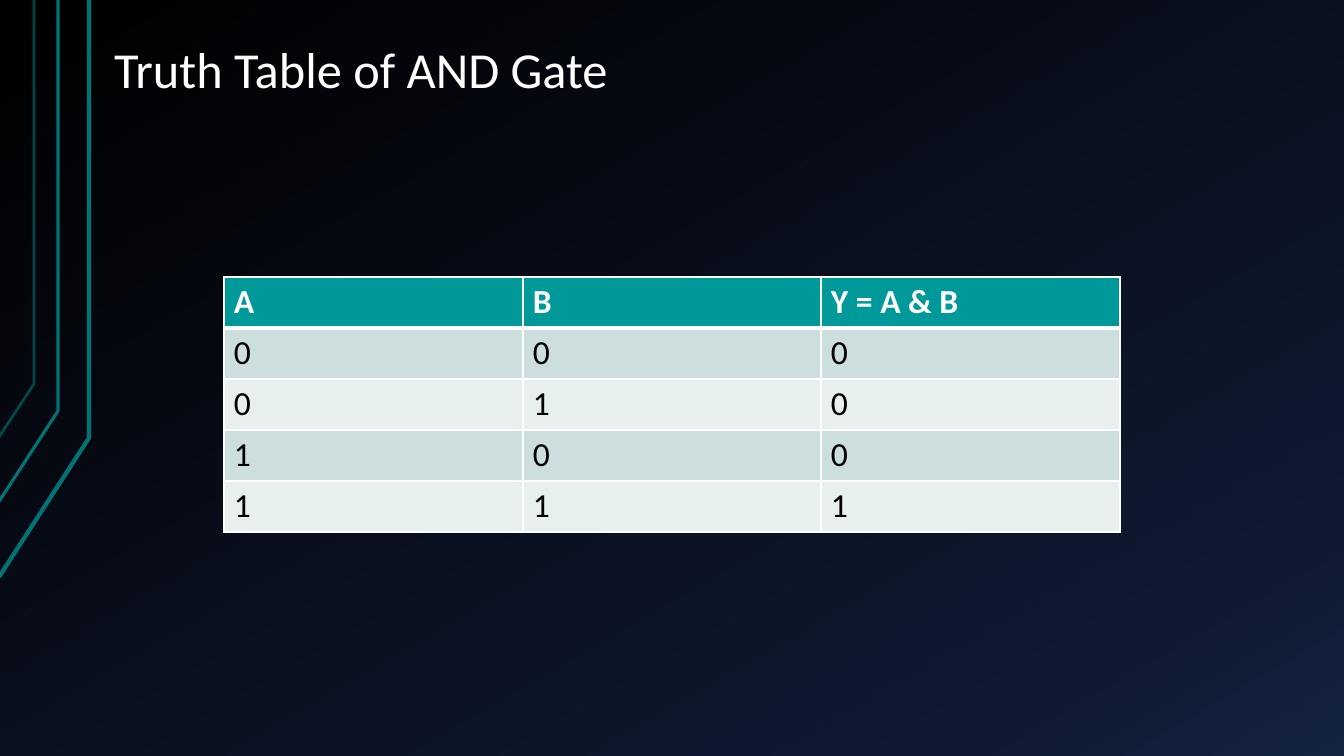
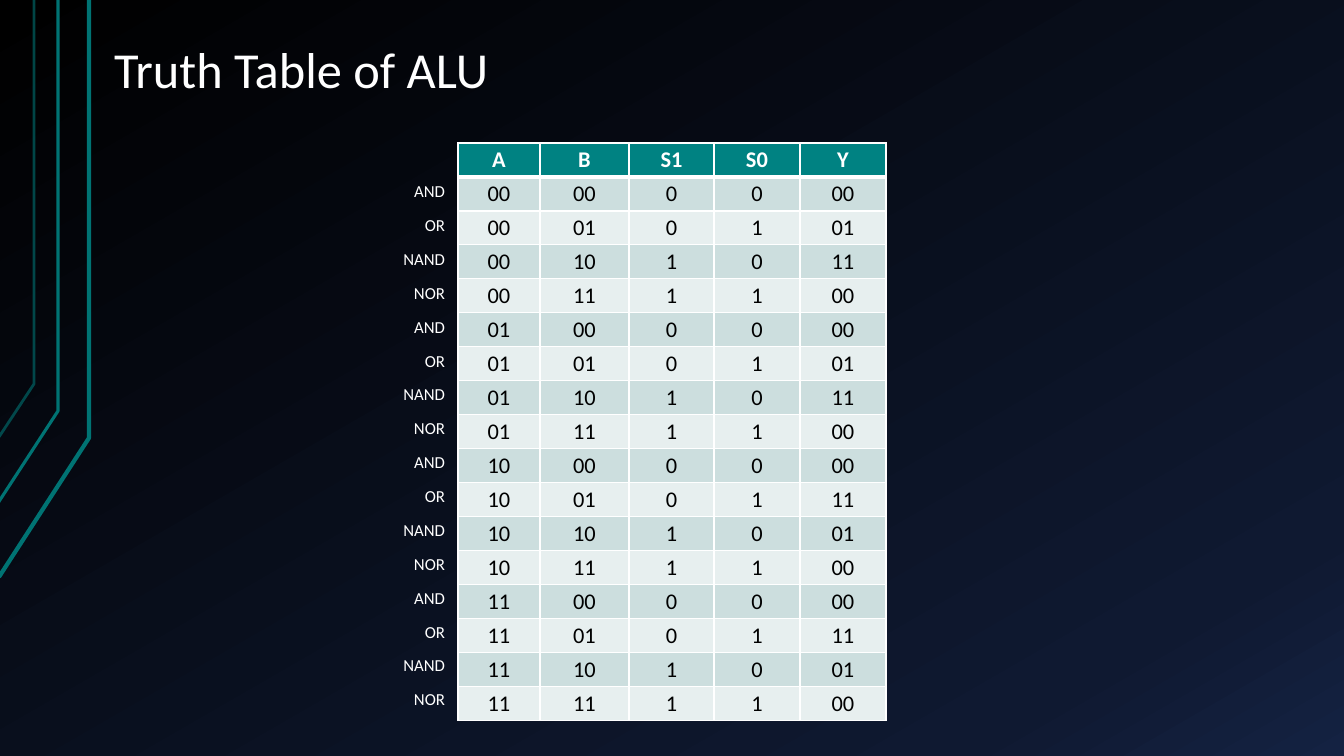
from itertools import cycle

from lxml.etree import SubElement
from pptx import Presentation
from pptx.dml.color import RGBColor
from pptx.enum.text import MSO_ANCHOR, MSO_AUTO_SIZE, PP_ALIGN
from pptx.oxml.ns import qn
from pptx.util import Pt

PX = 12192000 / 1344
SLIDE_SIZE = (1344, 756)
FONT = "Calibri"

WHITE = RGBColor(0xFF, 0xFF, 0xFF)
BLACK = RGBColor(0x00, 0x00, 0x00)
LINE_TEAL = RGBColor(0x00, 0x73, 0x73)
BRIGHT_TEAL = RGBColor(0x00, 0x99, 0x99)
DARK_TEAL = RGBColor(0x00, 0x82, 0x82)
BANDS = (RGBColor(0xCC, 0xDE, 0xDE), RGBColor(0xE7, 0xEF, 0xEF))
BACKGROUND_STOPS = (
    (0, BLACK),
    (85, RGBColor(0x0F, 0x19, 0x31)),
    (100, RGBColor(0x14, 0x22, 0x42)),
)

# points in px, width in pt, opacity in percent
CIRCUIT_LINES = (
    (((-1, 577), (89, 438), (89, 0)), 3, 100),
    (((-2, 503), (58, 411), (58, 0)), 2.25, 100),
    (((-1, 437), (34, 384), (34, 0)), 2, 60),
)
TITLE_BOX = (101, 33, 1142, 73)

AND_GATE = {
    "title": "Truth Table of AND Gate",
    "rows": [("A", "B", "Y = A & B"),
             ("0", "0", "0"), ("0", "1", "0"), ("1", "0", "0"), ("1", "1", "1")],
    "origin": (224, 277),
    "columns": (299, 298, 299),
    "row_height": 51,
    "size": 24,
    "header": BRIGHT_TEAL,
    "align": PP_ALIGN.LEFT,
    "anchor": MSO_ANCHOR.TOP,
    "insets": (10, 5),
}
ALU = {
    "title": "Truth Table of ALU",
    "rows": [row.split() for row in (
        "A B S1 S0 Y",
        "00 00 0 0 00", "00 01 0 1 01", "00 10 1 0 11", "00 11 1 1 00",
        "01 00 0 0 00", "01 01 0 1 01", "01 10 1 0 11", "01 11 1 1 00",
        "10 00 0 0 00", "10 01 0 1 11", "10 10 1 0 01", "10 11 1 1 00",
        "11 00 0 0 00", "11 01 0 1 11", "11 10 1 0 01", "11 11 1 1 00",
    )],
    "origin": (458, 143),
    "columns": (82, 89, 85, 86, 86),
    "row_height": 34,
    "size": 16,
    "header": DARK_TEAL,
    "align": PP_ALIGN.CENTER,
    "anchor": MSO_ANCHOR.MIDDLE,
    "insets": (7, 3),
}
OPERATION_WIDTHS = {"AND": 51, "OR": 41, "NAND": 62, "NOR": 51}
OPERATION_RIGHT, OPERATION_TOP, OPERATION_HEIGHT = 455, 176, 30
OPERATION_PITCH = 33.87


def px(*lengths):
    return [round(length * PX) for length in lengths]


def format_paragraph(paragraph, size, color, align, bold=False):
    paragraph.alignment = align
    font = paragraph.font
    font.name, font.size, font.bold = FONT, Pt(size), bold
    font.color.rgb = color


def set_insets(target, horizontal, vertical):
    target.margin_left = target.margin_right = px(horizontal)[0]
    target.margin_top = target.margin_bottom = px(vertical)[0]


def add_color(parent, color):
    return SubElement(parent, qn("a:srgbClr"), val=str(color))


def style_layout(layout, drawing_slide):
    """Give the layout its gradient and lines; the lines are drawn on a slide, then moved."""
    fill = layout.background.fill
    fill.gradient()
    fill.gradient_angle = 300
    stops = layout.element.find(".//" + qn("a:gsLst"))
    stops.clear()
    for position, color in BACKGROUND_STOPS:
        add_color(SubElement(stops, qn("a:gs"), pos=str(position * 1000)), color)

    for points, width, opacity in CIRCUIT_LINES:
        builder = drawing_slide.shapes.build_freeform(*points[0], scale=PX)
        builder.add_line_segments(points[1:], close=False)
        shape = builder.convert_to_shape()
        shape.shadow.inherit = False
        shape.fill.background()
        shape.line.color.rgb = LINE_TEAL
        shape.line.width = Pt(width)
        if opacity < 100:
            color = shape.line._ln.find(".//" + qn("a:srgbClr"))
            SubElement(color, qn("a:alpha"), val=str(opacity * 1000))
        layout.shapes.element.append(shape.element)


def set_title(slide, text):
    title = slide.shapes.title
    title.left, title.top, title.width, title.height = px(*TITLE_BOX)
    frame = title.text_frame
    frame.text = text
    frame.auto_size = MSO_AUTO_SIZE.NONE
    frame.vertical_anchor = MSO_ANCHOR.BOTTOM
    set_insets(frame, 13, 7)
    format_paragraph(frame.paragraphs[0], 36, WHITE, PP_ALIGN.LEFT)
    frame.paragraphs[0].line_spacing = 0.9


def set_borders(cell, top, bottom):
    properties = cell._tc.get_or_add_tcPr()
    for side, width in (("L", 1), ("R", 1), ("T", top), ("B", bottom)):
        line = SubElement(properties, qn(f"a:ln{side}"), w=str(Pt(width)))
        add_color(SubElement(line, qn("a:solidFill")), WHITE)


def add_truth_table(slide, content):
    rows, columns = content["rows"], content["columns"]
    height = content["row_height"]
    box = px(*content["origin"], sum(columns), height * len(rows))
    table = slide.shapes.add_table(len(rows), len(columns), *box).table
    for column, width in zip(table.columns, px(*columns)):
        column.width = width
    for row_index, values in enumerate(rows):
        row = table.rows[row_index]
        row.height = px(height)[0]
        is_header = row_index == 0
        for cell, value in zip(row.cells, values):
            cell.text = value
            cell.vertical_anchor = content["anchor"]
            set_insets(cell, *content["insets"])
            set_borders(cell, top=3 if row_index == 1 else 1, bottom=3 if is_header else 1)
            cell.fill.solid()
            cell.fill.fore_color.rgb = (
                content["header"] if is_header else BANDS[(row_index - 1) % 2])
            format_paragraph(cell.text_frame.paragraphs[0], content["size"],
                             WHITE if is_header else BLACK, content["align"], is_header)


def add_operation_labels(slide, count):
    for index, (operation, width) in zip(range(count), cycle(OPERATION_WIDTHS.items())):
        top = OPERATION_TOP + index * OPERATION_PITCH
        box = slide.shapes.add_textbox(
            *px(OPERATION_RIGHT - width, top, width, OPERATION_HEIGHT))
        frame = box.text_frame
        frame.text = operation
        frame.word_wrap = False
        format_paragraph(frame.paragraphs[0], 12, WHITE, PP_ALIGN.RIGHT)


def main():
    presentation = Presentation()
    presentation.slide_width, presentation.slide_height = px(*SLIDE_SIZE)
    layout = presentation.slide_layouts.get_by_name("Title Only")
    and_slide, alu_slide = [presentation.slides.add_slide(layout) for _ in range(2)]
    style_layout(layout, and_slide)
    for slide, content in ((and_slide, AND_GATE), (alu_slide, ALU)):
        set_title(slide, content["title"])
        add_truth_table(slide, content)
    add_operation_labels(alu_slide, len(ALU["rows"]) - 1)
    presentation.save("out.pptx")


if __name__ == "__main__":
    main()
